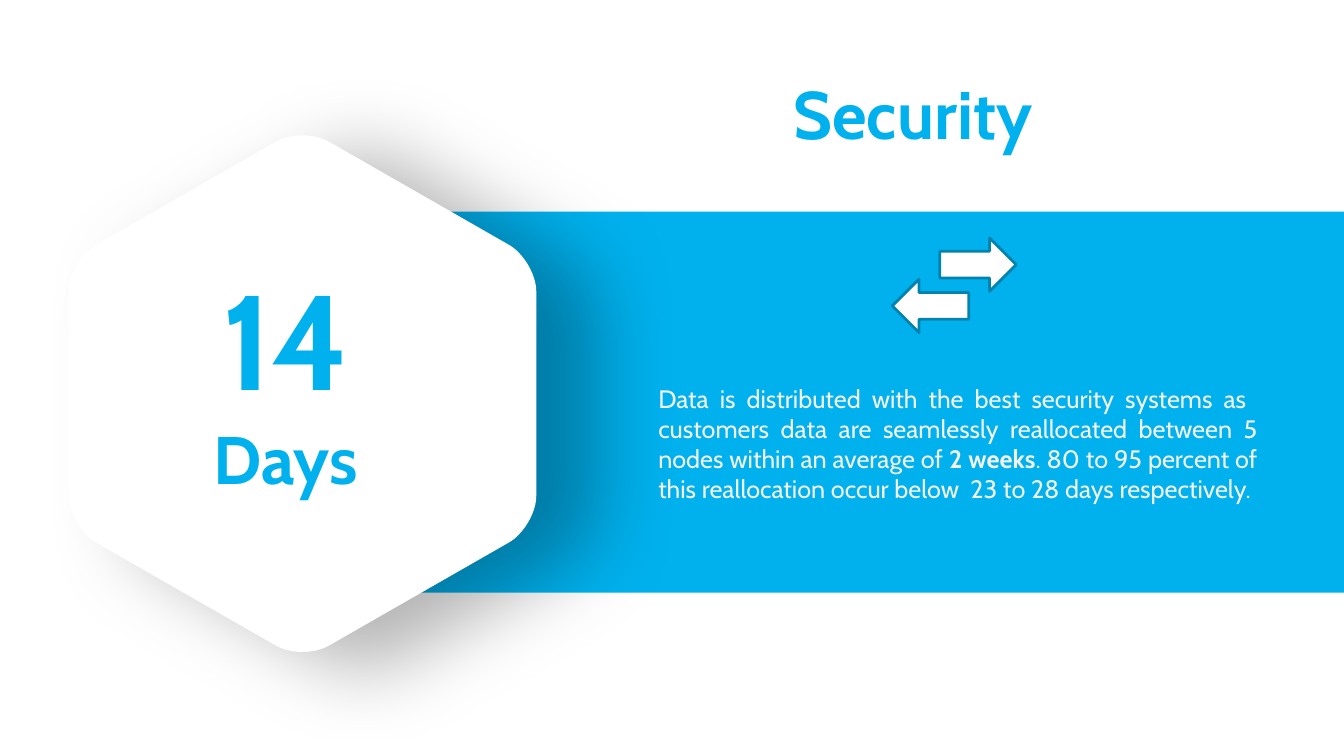
from lxml.etree import SubElement
from pptx import Presentation
from pptx.dml.color import RGBColor
from pptx.enum.shapes import MSO_SHAPE
from pptx.enum.text import PP_ALIGN
from pptx.oxml.ns import qn
from pptx.util import Inches, Pt

BLUE = RGBColor(0x01, 0xB1, 0xED)
DARK_BLUE = RGBColor(0x01, 0x83, 0xAF)
WHITE = RGBColor(0xFF, 0xFF, 0xFF)
PALE = RGBColor(0xF2, 0xF2, 0xF2)

prs = Presentation()
prs.slide_width, prs.slide_height = Inches(13.33), Inches(7.5)
s = prs.slides.add_slide(prs.slide_layouts[6])


def area(x, y, w=0, h=0):
    """Turn percentages of the slide's width and height into lengths."""
    W, H = prs.slide_width, prs.slide_height
    return [round(v * side / 100) for v, side in zip((x, y, w, h), (W, H, W, H))]


def add_text(box, paragraphs, align, color, spacing=1.0):
    """Add a text box; each paragraph is a list of (text, size, bold) runs."""
    tf = s.shapes.add_textbox(*area(*box)).text_frame
    tf.word_wrap = True
    for i, runs in enumerate(paragraphs):
        p = tf.add_paragraph() if i else tf.paragraphs[0]
        p.alignment, p.line_spacing = align, spacing
        for text, size, bold in runs:
            r = p.add_run()
            r.text = text
            r.font.color.rgb = color
            for name, value in {"name": "Cabin", "size": Pt(size), "bold": bold}.items():
                setattr(r.font, name, value)


# Blue band
sp = s.shapes.add_shape(MSO_SHAPE.RECTANGLE, *area(28.13, 28, 71.87, 50.4))
sp.shadow.inherit = False
sp.fill.solid()
sp.fill.fore_color.rgb = BLUE
sp.line.fill.background()

# Title
add_text((58.29, 10.13, 25.58, 15.07), [[("Security", 48, True)]],
         PP_ALIGN.LEFT, BLUE, 0.9)

# Rounded hexagon: Bezier corners as offsets from its centre
CENTRE = (22.5, 52.07)
STEPS = 12
left = [(-17.4, -13.53), (-17.4, -15.8), (-16.43, -18.6), (-15.38, -19.67)]
top = [(-2.03, -33.27), (-0.9, -34.47), (0.9, -34.47), (2.03, -33.27)]
right = [(-x, y) for x, y in reversed(left)]
upper = []
for corner in (left, top, right):
    for i in range(STEPS + 1):
        t = i / STEPS
        weights = ((1 - t) ** 3, 3 * t * (1 - t) ** 2, 3 * t * t * (1 - t), t ** 3)
        upper.append([sum(k * pt[axis] for k, pt in zip(weights, corner)) for axis in (0, 1)])
outline = upper + [(-x, -y) for x, y in upper]
points = [area(CENTRE[0] + x, CENTRE[1] + y)[:2] for x, y in outline]
builder = s.shapes.build_freeform(*points[0])
builder.add_line_segments(points[1:], close=True)
hexagon = builder.convert_to_shape()
hexagon.fill.solid()
hexagon.fill.fore_color.rgb = WHITE
hexagon.line.fill.background()

# Soft shadow of the hexagon
hexagon.shadow.inherit = False
effects = hexagon.element.spPr.find(qn("a:effectLst"))
shadow = SubElement(effects, qn("a:outerShdw"), blurRad=str(Pt(60)), dist=str(Pt(45)),
                    dir=str(16 * 60000), algn="ctr", rotWithShape="0")
tint = SubElement(shadow, qn("a:srgbClr"), val="000000")
SubElement(tint, qn("a:alpha"), val="30000")

# Number of days
add_text((0, 33.2, 42.54, 33.6), [[("14", 96, True)], [("Days", 48, True)]],
         PP_ALIGN.CENTER, BLUE)

# Exchange arrows
for kind, x, y in ((MSO_SHAPE.RIGHT_ARROW, 69.92, 31.47), (MSO_SHAPE.LEFT_ARROW, 66.39, 36.93)):
    sp = s.shapes.add_shape(kind, *area(x, y, 5.7, 7.07))
    sp.shadow.inherit = False
    sp.fill.solid()
    sp.fill.fore_color.rgb = WHITE
    sp.line.color.rgb = DARK_BLUE
    sp.line.width = Pt(2)

# Description
add_text((48.24, 50, 46.06, 21.47), [[
    ("Data is distributed with the best security systems as  customers data are "
     "seamlessly reallocated between 5 nodes within an average of ", 18, False),
    ("2 weeks", 18, True),
    (". 80 to 95 percent of this reallocation occur below  23 to 28 days "
     "respectively.", 18, False),
]], PP_ALIGN.JUSTIFY, PALE)

prs.save("out.pptx")
